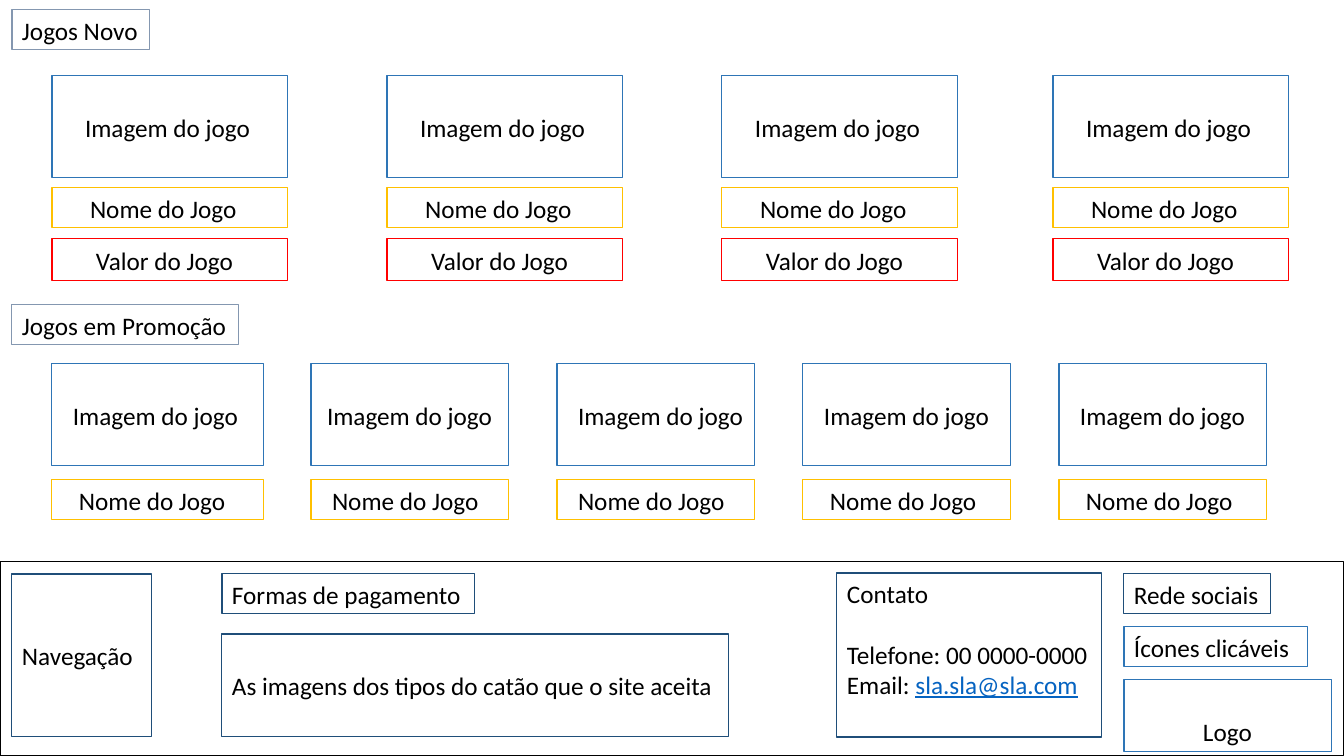
from dataclasses import dataclass

import pptx
import pptx.dml.color
import pptx.enum.shapes
import pptx.enum.text
import pptx.util

EMU_PER_PX = 914400 / 100.8
FONT = "Calibri"
COLORS = {
    "text": "000000",
    "link": "0563C1",
    "footer": "000000",
    "heading": "8497B0",
    "blue": "2E75B6",
    "navy": "1F4E79",
    "name": "FFC000",
    "value": "FF0000",
}
Anchor = pptx.enum.text.MSO_ANCHOR


@dataclass(frozen=True)
class Box:
    left: int
    top: int
    width: int
    height: int
    line: str
    text: str = ""
    indent: int = 10
    anchor: Anchor = Anchor.MIDDLE


@dataclass(frozen=True)
class Card:
    left: int
    width: int
    image_indent: int
    name_indent: int


def px(length: int) -> int:
    return round(length * EMU_PER_PX)


def color(name: str) -> pptx.dml.color.RGBColor:
    return pptx.dml.color.RGBColor.from_string(COLORS[name])


def add_text(paragraph, text: str, *, fill: str = "text", underline: bool = False) -> None:
    run = paragraph.add_run()
    run.text = text
    run.font.name = FONT
    run.font.size = pptx.util.Pt(18)
    run.font.color.rgb = color(fill)
    run.font.underline = underline


def add_box(slide, box: Box):
    """Draw an outlined rectangle and return its text frame."""
    shape = slide.shapes.add_shape(
        pptx.enum.shapes.MSO_SHAPE.RECTANGLE,
        px(box.left), px(box.top), px(box.width), px(box.height),
    )
    shape.shadow.inherit = False
    shape.fill.background()
    shape.line.color.rgb = color(box.line)
    shape.line.width = pptx.util.Pt(0.75)

    frame = shape.text_frame
    frame.word_wrap = True
    frame.vertical_anchor = box.anchor
    frame.margin_left = px(box.indent)
    frame.margin_right = 0
    frame.margin_top = frame.margin_bottom = px(5)
    paragraph = frame.paragraphs[0]
    paragraph.alignment = pptx.enum.text.PP_ALIGN.LEFT
    if box.text:
        add_text(paragraph, box.text)
    return frame


def add_card(slide, card: Card, image_top: int, name_top: int) -> None:
    add_box(slide, Box(card.left, image_top, card.width, 102, "blue",
                       "Imagem do jogo", card.image_indent))
    add_box(slide, Box(card.left, name_top, card.width, 40, "name",
                       "Nome do Jogo", card.name_indent))


def add_contact(slide) -> None:
    frame = add_box(slide, Box(837, 573, 265, 164, "navy", "Contato", anchor=Anchor.TOP))
    phone = frame.add_paragraph()
    phone.space_before = pptx.util.Pt(22)
    add_text(phone, "Telefone: 00 0000-0000")
    email = frame.add_paragraph()
    add_text(email, "Email: ")
    add_text(email, "sla.sla@sla.com", fill="link", underline=True)
    for paragraph in (phone, email):
        paragraph.alignment = pptx.enum.text.PP_ALIGN.LEFT


HEADINGS = [
    Box(12, 10, 138, 40, "heading", "Jogos Novo"),
    Box(12, 305, 227, 40, "heading", "Jogos em Promoção"),
]
NEW_GAMES = [Card(left, 236, 33, 38) for left in (52, 387, 722, 1053)]
SALE_GAMES = [
    Card(52, 212, 21, 27),
    Card(311, 198, 16, 21),
    Card(557, 198, 21, 21),
    Card(803, 208, 21, 27),
    Card(1059, 208, 21, 27),
]
FOOTER = [
    Box(0, 562, 1344, 194, "footer"),
    Box(12, 574, 140, 163, "navy", "Navegação"),
    Box(222, 574, 253, 40, "navy", "Formas de pagamento"),
    Box(222, 634, 507, 103, "navy", "As imagens dos tipos do catão que o site aceita"),
    Box(1124, 574, 147, 40, "navy", "Rede sociais"),
    Box(1124, 627, 184, 40, "blue", "Ícones clicáveis"),
    Box(1124, 680, 208, 72, "blue", "Logo", 79, Anchor.BOTTOM),
]


def main() -> None:
    presentation = pptx.Presentation()
    presentation.slide_width = px(1344)
    presentation.slide_height = px(756)
    slide = presentation.slides.add_slide(presentation.slide_layouts[6])

    # Section headings
    for heading in HEADINGS:
        add_box(slide, heading)

    # New games, with a price
    for card in NEW_GAMES:
        add_card(slide, card, image_top=76, name_top=188)
        add_box(slide, Box(card.left, 239, card.width, 42, "value", "Valor do Jogo", 44))

    # Games on sale
    for card in SALE_GAMES:
        add_card(slide, card, image_top=364, name_top=480)

    # Footer
    for box in FOOTER:
        add_box(slide, box)
    add_contact(slide)

    presentation.save("out.pptx")


if __name__ == "__main__":
    main()
